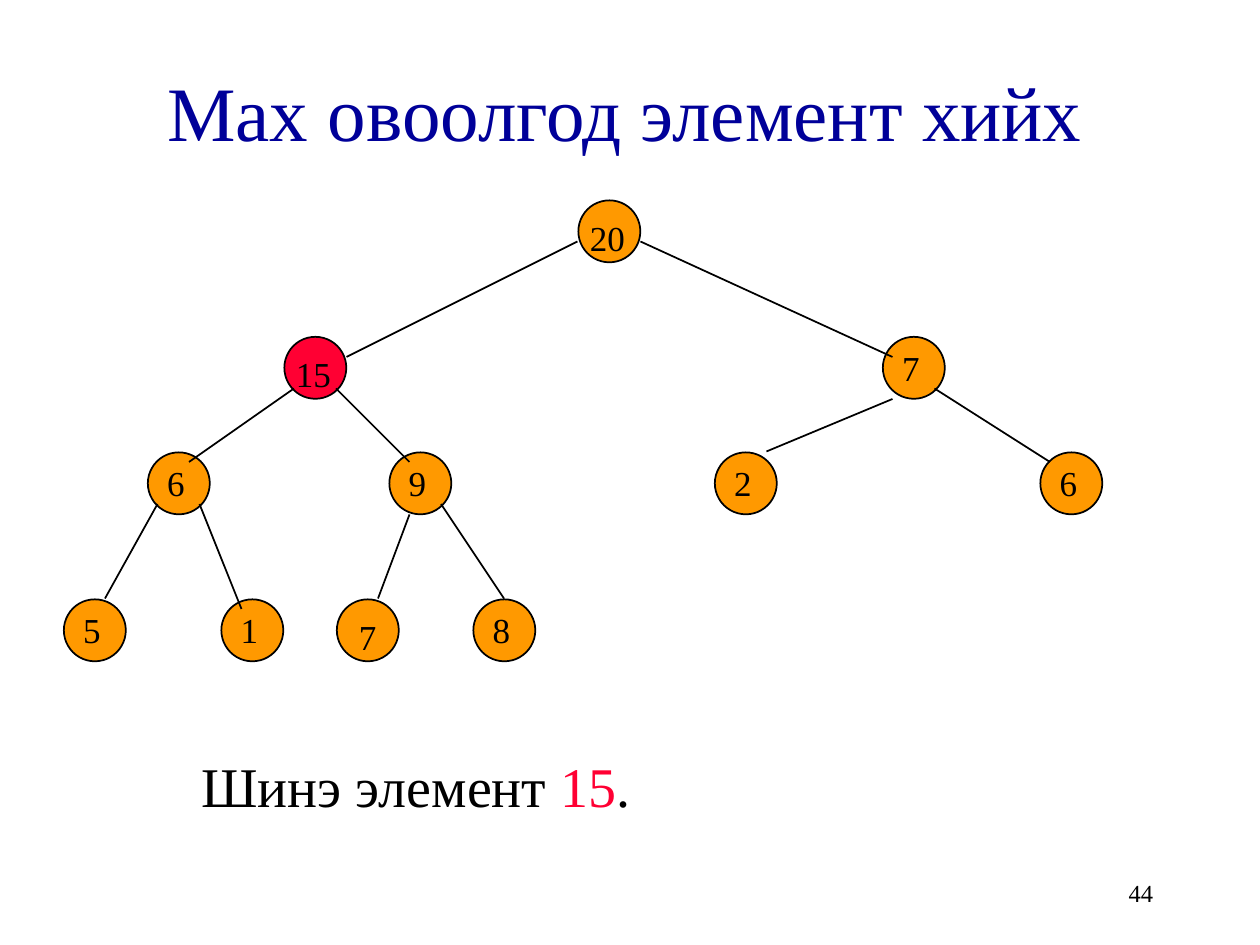
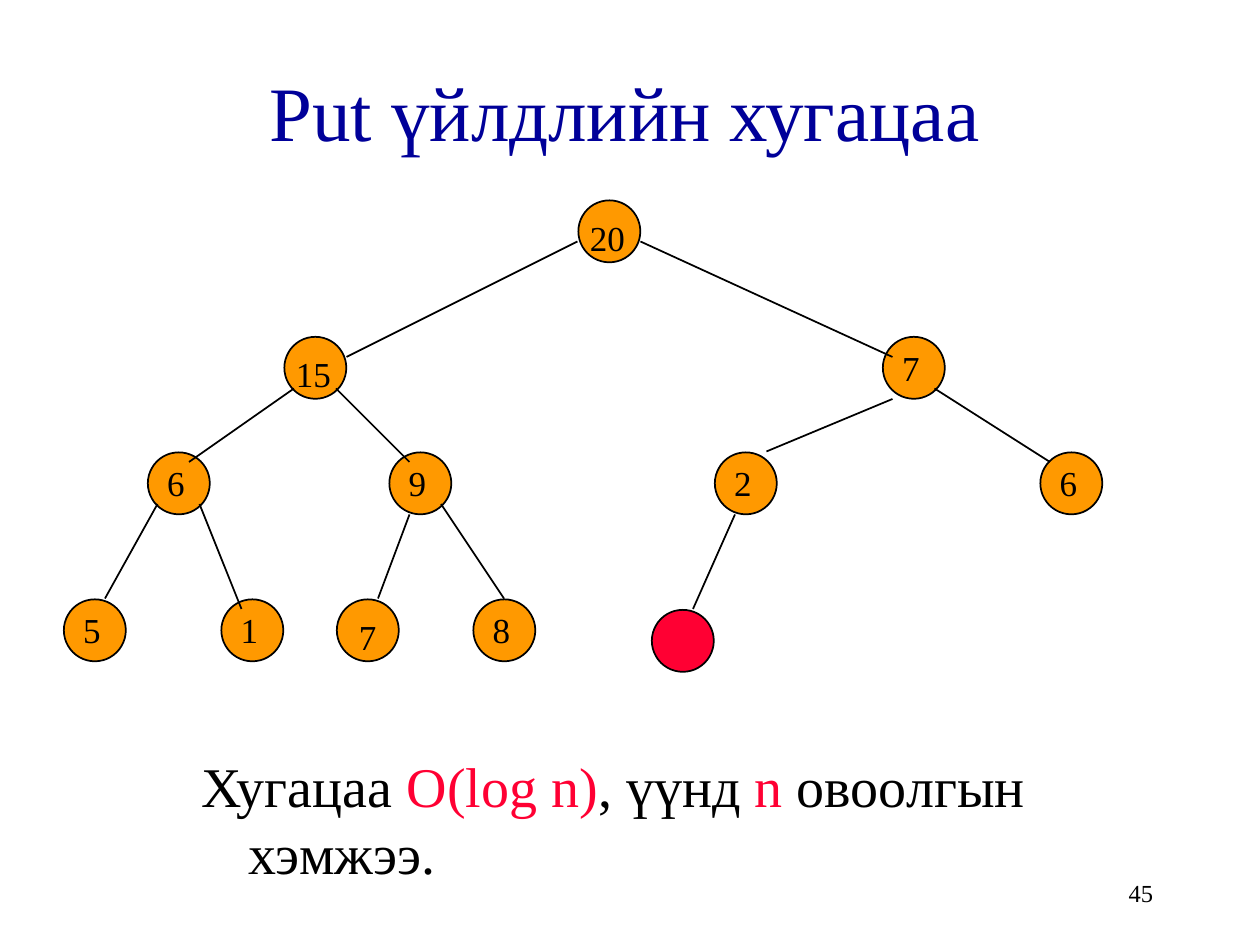
"""Build two slides that show a max heap before and after an insertion's cost is discussed."""
from dataclasses import dataclass

from lxml.etree import SubElement
from pptx import Presentation
from pptx.dml.color import RGBColor
from pptx.enum.shapes import MSO_CONNECTOR, MSO_SHAPE
from pptx.enum.text import MSO_ANCHOR, PP_ALIGN
from pptx.oxml.ns import qn
from pptx.util import Inches, Pt


@dataclass(frozen=True)
class Theme:
    font: str = "Times New Roman"
    navy: RGBColor = RGBColor(0x00, 0x00, 0x99)
    black: RGBColor = RGBColor(0x00, 0x00, 0x00)
    orange: RGBColor = RGBColor(0xFF, 0x99, 0x00)
    red: RGBColor = RGBColor(0xFF, 0x00, 0x33)
    title: int = 44
    body: int = 32
    label: int = 20
    number: int = 14
    line: int = 1


T = Theme()
CELL = Inches(1) // 12
COLS, ROWS = 120, 90
NODE = 5.9
NUDGE = 0.08
INDENT = 4.5

prs = Presentation()
prs.slide_width, prs.slide_height = COLS * CELL, ROWS * CELL


def cells(*values):
    """Turn grid cells into lengths."""
    return [round(v * CELL) for v in values]


def add_text(s, box, runs, size, align=PP_ALIGN.LEFT, anchor=MSO_ANCHOR.TOP):
    """Add a one-paragraph text box from (text, colour) runs and return the paragraph."""
    tf = s.shapes.add_textbox(*cells(*box)).text_frame
    tf.word_wrap = True
    tf.vertical_anchor = anchor
    p = tf.paragraphs[0]
    p.alignment = align
    for text, color in runs:
        r = p.add_run()
        r.text = text
        r.font.name, r.font.size, r.font.color.rgb = T.font, Pt(size), color
    return p


MID, LOW, LOW_RIGHT = (0.75, 0.4), (0, 1), (1, 1)
HEAP = [
    ("20", 55, 19, LOW),
    ("15", 27, 32, LOW), ("7", 84, 32, MID),
    ("6", 14, 43, MID), ("9", 37, 43, MID), ("2", 68, 43, MID), ("6", 99, 43, MID),
    ("5", 6, 57, MID), ("1", 21, 57, MID), ("7", 32, 57, LOW_RIGHT), ("8", 45, 57, MID),
]
EDGES = [
    (55, 23, 33, 34), (61, 23, 85, 34),
    (28, 37, 18, 44), (32, 37, 39, 44), (85, 38, 73, 43), (89, 37, 100, 44),
    (15, 48, 10, 57), (19, 48, 23, 58), (39, 49, 36, 57), (42, 48, 48, 57),
]
SLIDES = [
    dict(
        title="Max овоолгод элемент хийх", number="44", red="15", nodes=HEAP, edges=EDGES,
        body=[("Шинэ элемент ", T.black), ("15", T.red), (".", T.black)],
    ),
    dict(
        title="Put үйлдлийн хугацаа", number="45", red="",
        nodes=HEAP + [("", 62, 58, MID)], edges=EDGES + [(70, 49, 66, 58)],
        body=[("Хугацаа ", T.black), ("O(log n)", T.red), (", үүнд ", T.black),
              ("n ", T.red), ("овоолгын хэмжээ.", T.black)],
    ),
]

for page in SLIDES:
    s = prs.slides.add_slide(prs.slide_layouts[6])
    add_text(s, (1, 3, 117, 15), [(page["title"], T.navy)], T.title,
             PP_ALIGN.CENTER, MSO_ANCHOR.MIDDLE)
    p = add_text(s, (18, 71, 84, 3), page["body"], T.body)
    p.space_before = Pt(8)
    pPr = p._p.get_or_add_pPr()
    margin, = cells(INDENT)
    pPr.set("marL", str(margin))
    pPr.set("indent", str(-margin))

    for value, col, row, _ in page["nodes"]:
        sp = s.shapes.add_shape(MSO_SHAPE.OVAL, *cells(col + NUDGE, row + NUDGE, NODE, NODE))
        sp.shadow.inherit = False
        sp.fill.solid()
        sp.fill.fore_color.rgb = T.red if value == page["red"] else T.orange
        sp.line.color.rgb, sp.line.width = T.black, Pt(T.line)

    for edge in page["edges"]:
        ln = s.shapes.add_connector(MSO_CONNECTOR.STRAIGHT, *cells(*edge))
        ln.line.color.rgb, ln.line.width = T.black, Pt(T.line)
        SubElement(ln._element.spPr, qn("a:effectLst"))

    for value, col, row, (dx, dy) in page["nodes"]:
        if value:
            width = 4.25 if len(value) == 1 else 10.5
            add_text(s, (col + dx, row + dy, width, 5.2), [(value, T.black)], T.label)

    add_text(s, (86, 82, 25, 6), [(page["number"], T.black)], T.number,
             PP_ALIGN.RIGHT, MSO_ANCHOR.MIDDLE)

prs.save("out.pptx")
